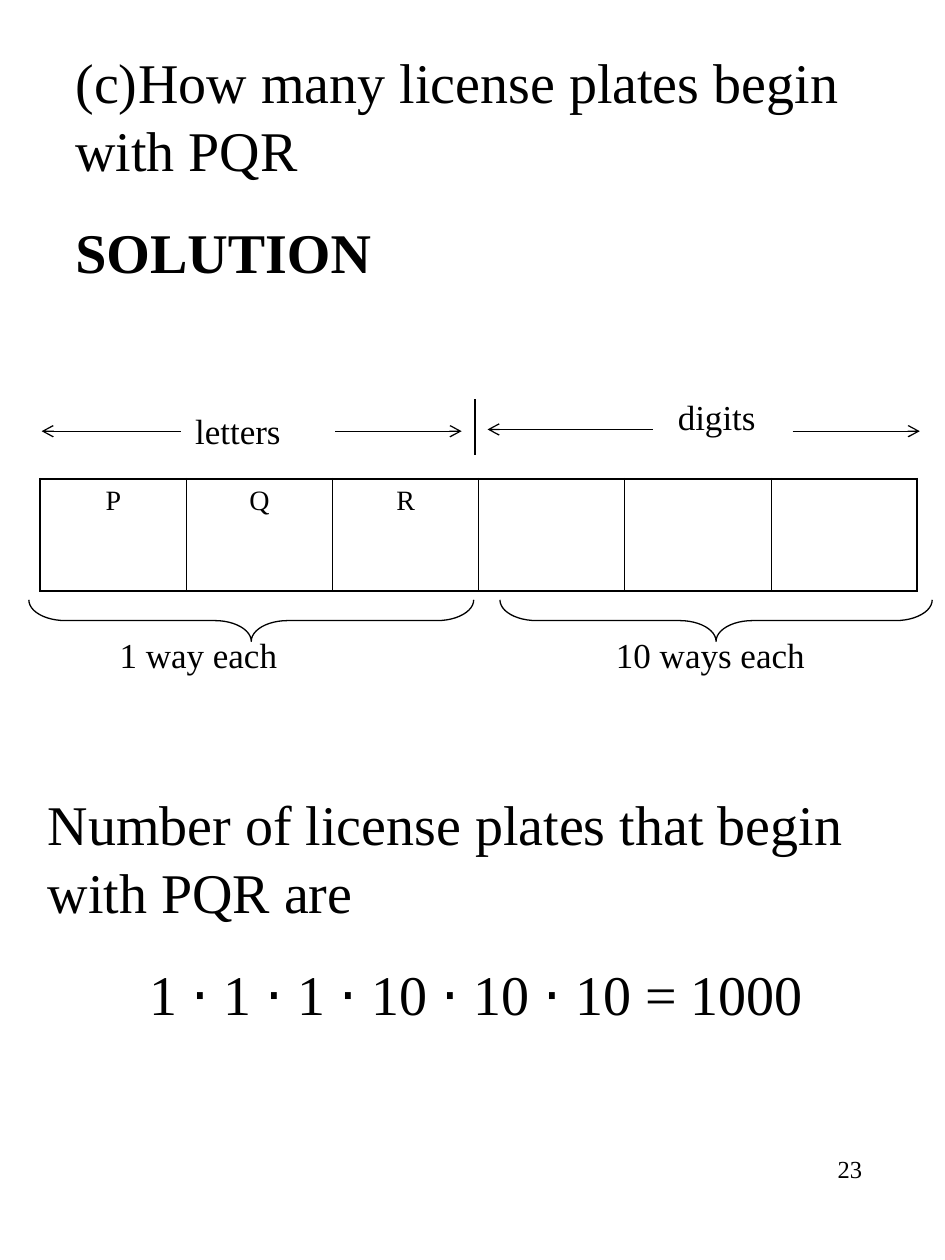
from pptx import Presentation
from pptx.util import Pt
from pptx.dml.color import RGBColor
from pptx.enum.shapes import MSO_CONNECTOR, MSO_SHAPE
from pptx.enum.text import PP_ALIGN
from pptx.oxml.ns import qn
from lxml import etree

STRAIGHT = MSO_CONNECTOR.STRAIGHT
BRACE = MSO_SHAPE.LEFT_BRACE
LEFT, MID, RIGHT = PP_ALIGN.LEFT, PP_ALIGN.CENTER, PP_ALIGN.RIGHT
SERIF, SANS, INK = "Times New Roman", "Arial", "000000"
DOT = "⋅"

TASK = [
    ("(c)\tHow many license plates begin with PQR", False, LEFT),
    ("SOLUTION", True, LEFT),
]
RESULT = [
    ("Number of license plates that begin with PQR are", False, LEFT),
    ("1 ⋅ 1 ⋅ 1 ⋅ 10 ⋅ 10 ⋅ 10 = 1000", False, MID),
]
BLOCKS = [
    (TASK, 0, 23.8, 540, 201),
    (RESULT, -15.8, 447.8, 540, 142.6),
]
LABELS = [
    ("letters", 104.4, 230.4, 63.4, False),
    ("digits", 380.2, 222.5, 59, False),
    ("1 way each", 61.2, 358.6, 174.2, True),
    ("10 ways each", 344.9, 358.6, 122.4, False),
]
LINES = [
    (23.8, 246.4, 103.7, 246.4, "headEnd"),
    (191.5, 246.4, 263.8, 246.4, "tailEnd"),
    (278.6, 245.4, 373, 245.4, "headEnd"),
    (452.9, 246.4, 525.6, 246.4, "tailEnd"),
    (271.4, 228.2, 271.4, 259.9, None),
]
BRACES = [(143.6, 254.2), (409.2, 247)]
BRACE_Y, DEPTH = 354.6, 23.76
PLATE = ["P", "Q", "R", "", "", ""]
COL, ROW = 83.52, 64.1
PAGE = "23"


def ink(code):
    return RGBColor.from_string(code)


def style(font, size, bold=False):
    font.name, font.size, font.bold = SERIF, Pt(size), bold
    font.color.rgb = ink(INK)


def box(x, y, w, h, wrap=True):
    frame = slide.shapes.add_textbox(Pt(x), Pt(y), Pt(w), Pt(h)).text_frame
    frame.word_wrap = wrap
    return frame


def write(para, text, size, align=LEFT):
    para.text = text
    para.alignment = align
    style(para.font, size)


def indent(para):
    props = para._p.get_or_add_pPr()
    props.set("marL", str(Pt(36)))
    props.set("indent", "0")
    tabs = etree.SubElement(props, qn("a:tabLst"))
    etree.SubElement(tabs, qn("a:tab"), pos=str(Pt(72)), algn="l")


def block(rows, *area):
    frame = box(*area)
    for i, (text, bold, align) in enumerate(rows):
        para = frame.add_paragraph() if i else frame.paragraphs[0]
        para.level, para.alignment = 1, align
        indent(para)
        if i:
            para.space_before = Pt(20)
        for j, part in enumerate(text.split(DOT)):
            if j:
                run = para.add_run()
                run.text = DOT
                style(run.font, 32)
                run.font.name = SANS
            run = para.add_run()
            run.text = part
            style(run.font, 32, bold)


def border(cell, side, width):
    line = etree.SubElement(cell._tc.get_or_add_tcPr(), qn("a:" + side), w=str(Pt(width)))
    fill = etree.SubElement(line, qn("a:solidFill"))
    etree.SubElement(fill, qn("a:srgbClr"), val=INK)


def plate():
    n = len(PLATE)
    table = slide.shapes.add_table(1, n, Pt(23), Pt(273.6), Pt(COL * n), Pt(ROW)).table
    table.first_row = table.horz_banding = False
    table.rows[0].height = Pt(ROW)
    for i, text in enumerate(PLATE):
        table.columns[i].width = Pt(COL)
        cell = table.cell(0, i)
        write(cell.text_frame.paragraphs[0], text, 16, MID)
        border(cell, "lnL", 0.45 if i else 1.08)
        border(cell, "lnR", 0.45 if i < n - 1 else 1.08)
        border(cell, "lnT", 1.08)
        border(cell, "lnB", 1.08)
        cell.fill.background()


def rule(x1, y1, x2, y2, end):
    link = slide.shapes.add_connector(STRAIGHT, Pt(x1), Pt(y1), Pt(x2), Pt(y2))
    link.line.color.rgb = ink(INK)
    link.line.width = Pt(0.75)
    if end:
        etree.SubElement(link.line._get_or_add_ln(), qn("a:" + end), type="arrow")
    etree.SubElement(link._element.spPr, qn("a:effectLst"))


def brace(mid, span):
    shape = slide.shapes.add_shape(
        BRACE, Pt(mid - DEPTH / 2), Pt(BRACE_Y - span / 2), Pt(DEPTH), Pt(span))
    shape.rotation = 270
    shape.adjustments[0] = 0.88
    shape.shadow.inherit = False
    shape.fill.background()
    shape.line.color.rgb = ink(INK)
    shape.line.width = Pt(0.75)


deck = Presentation()
deck.slide_width, deck.slide_height = Pt(540), Pt(720)
slide = deck.slides.add_slide(deck.slide_layouts[6])

write(box(387.4, 655.9, 112.3, 48.2).paragraphs[0], PAGE, 14, RIGHT)
for item in BLOCKS:
    block(*item)
plate()
for text, x, y, w, wrap in LABELS:
    write(box(x, y, w, 31.7, wrap).paragraphs[0], text, 20)
for item in LINES:
    rule(*item)
for item in BRACES:
    brace(*item)

deck.save("out.pptx")
